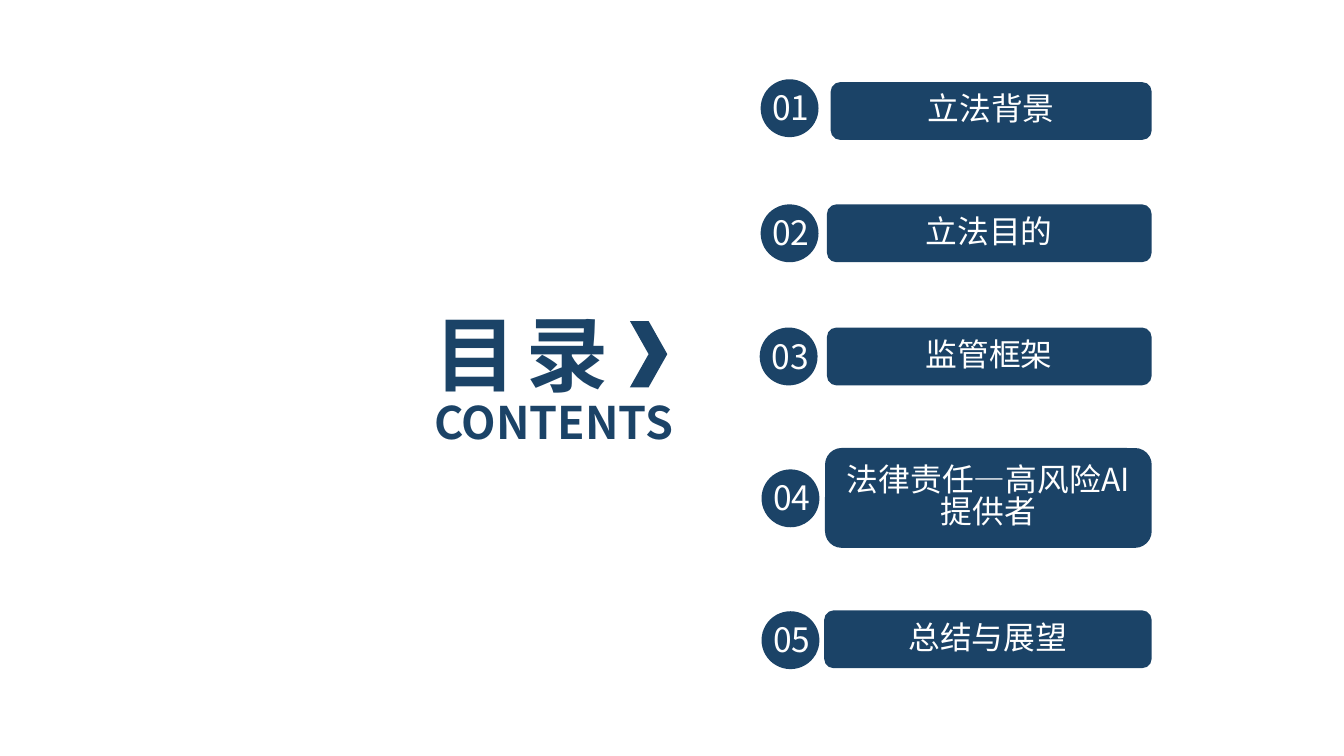
from pptx import Presentation
from pptx.dml.color import RGBColor
from pptx.enum.shapes import MSO_SHAPE
from pptx.enum.text import MSO_ANCHOR, MSO_AUTO_SIZE, PP_ALIGN
from pptx.oxml.ns import qn
from pptx.util import Pt
from lxml.etree import SubElement


def color(code):
    """Turn a hex string into a colour."""
    return RGBColor.from_string(code)


class Deck:
    """Hold the style and the current slide."""

    font, blue, white = "Noto Sans CJK SC", "1B4367", "FFFFFF"
    side, right = 31, 617

    def __init__(self, slide):
        """Keep the slide to draw on."""
        self.slide = slide

    def letter(self, item, text, size, code, align, bold=False, space=1, track=0):
        """Set and format the text of an item."""
        frame = item.text_frame
        frame.text = text
        frame.word_wrap = True
        frame.auto_size = MSO_AUTO_SIZE.NONE
        frame.vertical_anchor = MSO_ANCHOR.MIDDLE
        para = frame.paragraphs[0]
        para.alignment, para.line_spacing = align, space
        for run in para.runs:
            font = run.font
            font.name, font.size, font.bold = self.font, Pt(size), bold
            font.color.rgb = color(code)
            props = run._r.get_or_add_rPr()
            SubElement(props, qn("a:ea")).set("typeface", self.font)
            if track:
                props.set("spc", str(track))

    def title(self, text, left, top, width, height):
        """Place the slide title."""
        item = self.slide.shapes.title
        item.left, item.top = Pt(left), Pt(top)
        item.width, item.height = Pt(width), Pt(height)
        self.letter(item, text, 44, self.blue, PP_ALIGN.LEFT, True, track=-220)

    def label(self, home, text, box, size, code, align, bold=False):
        """Add a text box to a slide or a group."""
        item = home.shapes.add_textbox(*map(Pt, box))
        self.letter(item, text, size, code, align, bold)

    def shape(self, home, kind, *box):
        """Add a plain blue shape."""
        item = home.shapes.add_shape(kind, *map(Pt, box))
        item.shadow.inherit = False
        item.fill.solid()
        item.fill.fore_color.rgb = color(self.blue)
        item.line.fill.background()
        return item

    def bar(self, text, left, top, height):
        """Add a bar that ends at the shared right edge."""
        item = self.shape(self.slide, MSO_SHAPE.ROUNDED_RECTANGLE,
                          left, top, self.right - left, height)
        self.letter(item, text, 17, self.white, PP_ALIGN.CENTER, space=0.85)

    def badge(self, text, left, top):
        """Add a numbered disc."""
        group = self.slide.shapes.add_group_shape()
        self.shape(group, MSO_SHAPE.OVAL, left, top, self.side, self.side)
        self.label(group, text, (left - 2.5, top + 0.5, 37.5, 29),
                   18, self.white, PP_ALIGN.CENTER)


def main():
    """Build the contents slide."""
    show = Presentation()
    show.slide_width, show.slide_height = Pt(720), Pt(405)
    deck = Deck(show.slides.add_slide(show.slide_layouts[5]))
    deck.title("目 录", 225.5, 158.5, 169, 60.5)
    deck.label(deck.slide, "CONTENTS", (225.5, 208, 166.5, 36), 24,
               deck.blue, PP_ALIGN.LEFT, True)
    deck.shape(deck.slide, MSO_SHAPE.CHEVRON, 337.5, 172, 20, 35.5)
    rows = [
        ("立法背景", 445, 44, 31, 407.5, 42.5),
        ("立法目的", 443, 109.5, 31, 407.5, 109.5),
        ("监管框架", 443, 175.5, 31, 407, 175.5),
        ("法律责任—高风险AI提供者", 442, 240, 53.5, 408, 251.5),
        ("总结与展望", 441.5, 327, 31, 408, 327.5),
    ]
    for num, (text, left, top, height, disc, head) in enumerate(rows, 1):
        deck.bar(text, left, top, height)
        deck.badge(f"{num:02}", disc, head)
    show.save("out.pptx")


if __name__ == "__main__":
    main()
